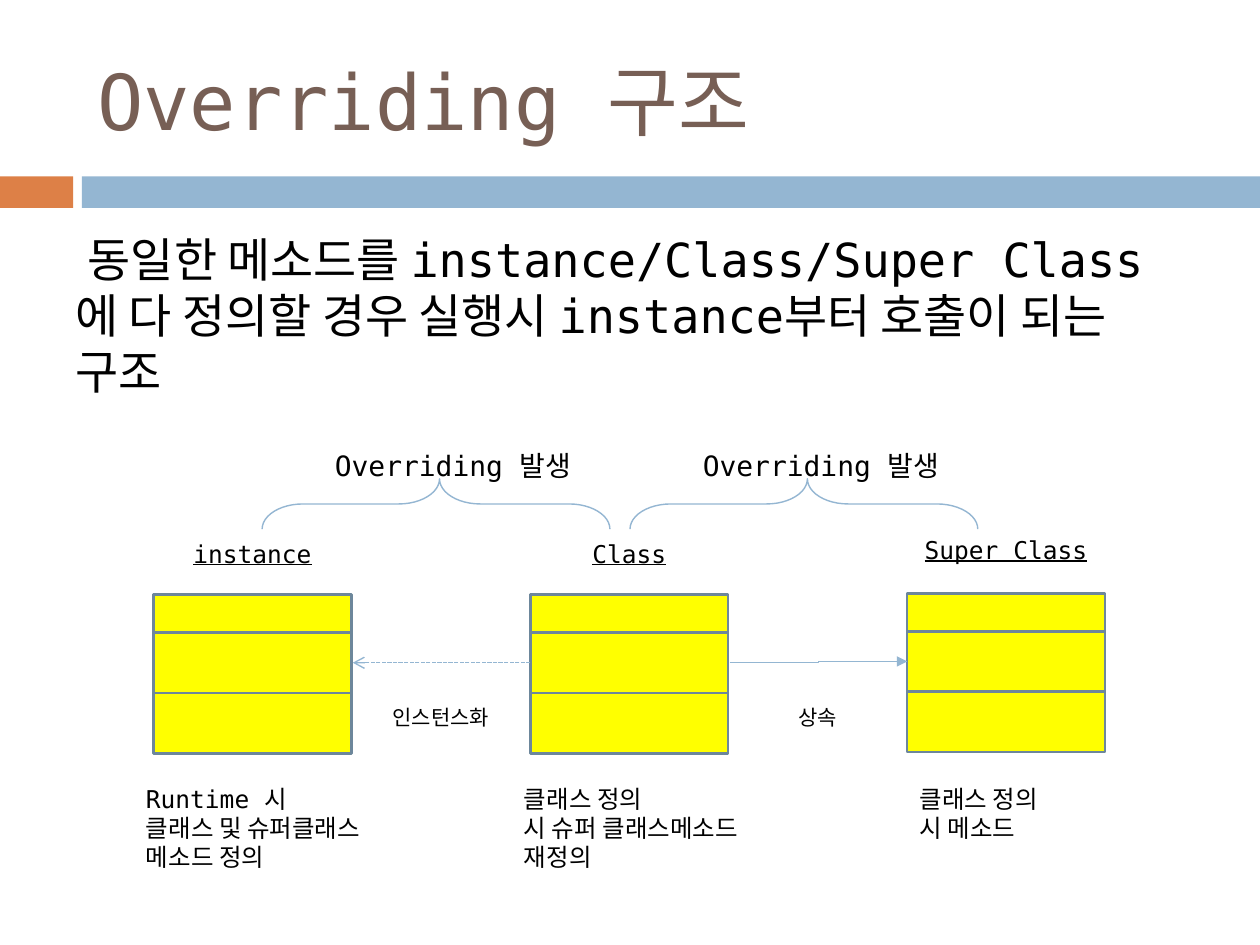
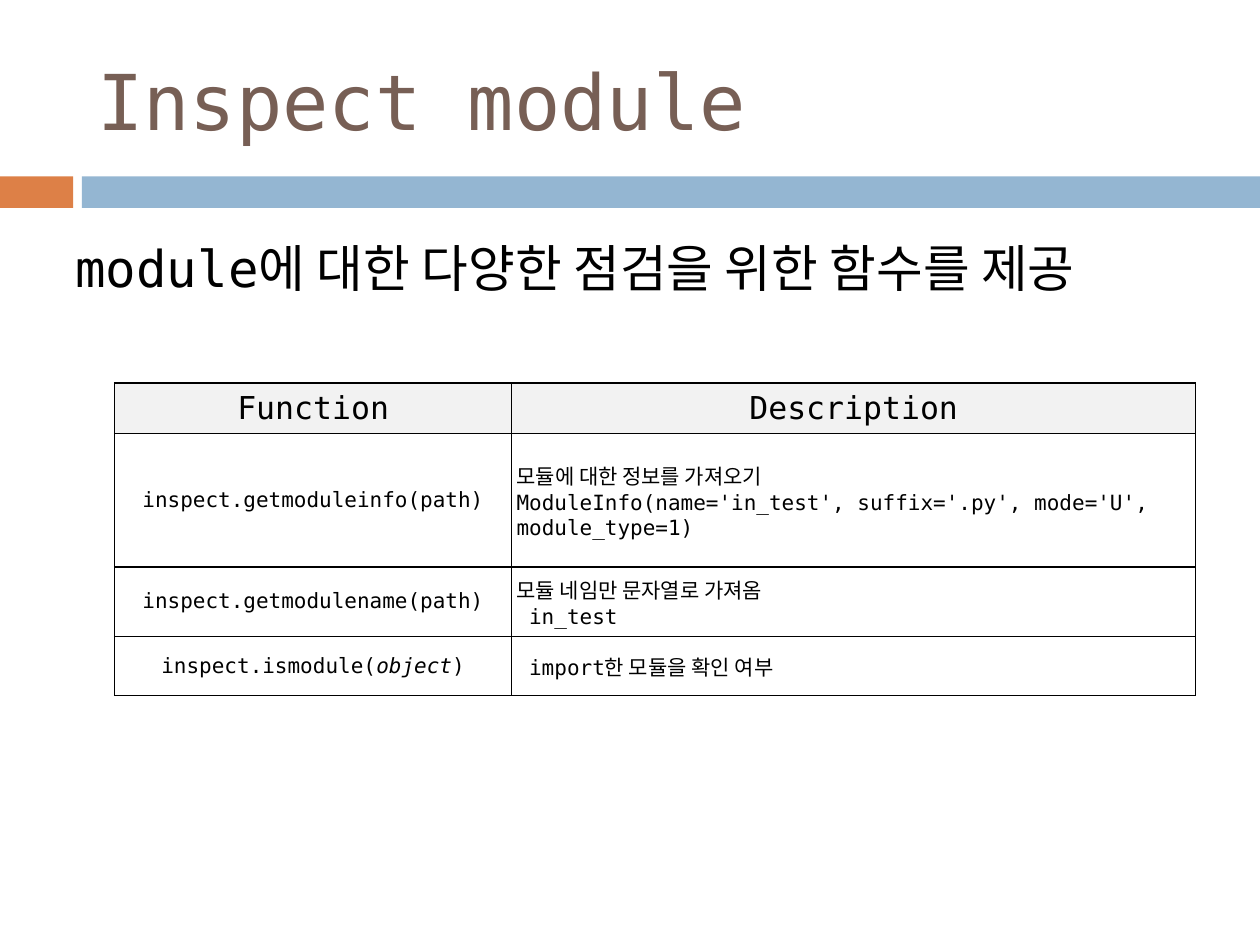
"""Build two slides on method overriding and the inspect module."""
from lxml.etree import SubElement
from pptx import Presentation
from pptx.dml.color import RGBColor
from pptx.enum.dml import MSO_LINE as Dash
from pptx.enum.shapes import MSO_CONNECTOR as Conn, MSO_SHAPE as Geo
from pptx.enum.text import MSO_ANCHOR as Anchor, MSO_AUTO_SIZE as Auto, PP_ALIGN as Align
from pptx.oxml.ns import qn
from pptx.util import Inches, Pt

FONT = "DejaVu Sans Mono"
INK, BROWN, BLUE, RUST = "000000", "775F55", "94B6D2", "DD8047"
YELLOW, EDGE, GRAY = "FFFF00", "6D879B", "F2F2F2"
WIDE, HIGH = 10, 7.5

TITLES = ["Overriding 구조", "Inspect module"]
LEADS = [
    (" 동일한 메소드를 instance/Class/Super Class에 다 정의할 경우 실행시 instance부터 호출이 되는 구조",
     26.8, 1.78, 1.3),
    ("module에 대한 다양한 점검을 위한 함수를 제공", 29, 1.83, 1.06),
]
STACKS = [
    {"name": "instance", "note": ["Runtime 시", "클래스 및 슈퍼클래스 메소드 정의"],
     "shift": -0.16, "rise": 0, "lift": 0},
    {"name": "Class", "note": ["클래스 정의", "시 슈퍼 클래스메소드 재정의"],
     "shift": -0.15, "rise": 0, "lift": 0},
    {"name": "Super Class", "note": ["클래스 정의", "시 메소드"],
     "shift": 0, "rise": 0.01, "lift": 0.03},
]
LINKS = [
    {"text": "인스턴스화", "left": 2.95, "wide": 1.1, "ends": (4.21, 5.26, 2.8, 5.26),
     "kind": Conn.STRAIGHT, "head": "arrow", "dash": Dash.SQUARE_DOT},
    {"text": "상속", "left": 6.02, "wide": 0.94, "ends": (5.79, 5.26, 7.2, 5.25),
     "kind": Conn.ELBOW, "head": "triangle", "dash": None},
]
CLASH = "Overriding 발생"
GRID = [
    (["Function"], ["Description"]),
    (["inspect.getmoduleinfo(path)"],
     ["모듈에 대한 정보를 가져오기",
      "ModuleInfo(name='in_test', suffix='.py', mode='U', module_type=1)"]),
    (["inspect.getmodulename(path)"], ["모듈 네임만 문자열로 가져옴", " in_test"]),
    (["inspect.ismodule(*object*)"], [" import한 모듈을 확인 여부"]),
]
COLS, ROWS = [3.15, 5.43], [0.4, 1.06, 0.55, 0.47]

LEFT, STEP, BOX = 1.22, 2.99, 1.57
TOP, PARTS = 4.72, [0.3, 0.48, 0.48]
ARC, HOP, SPAN, DEPTH = 2.08, 2.92, 2.76, 0.4


def rgb(code):
    """Turn a hex string into a colour."""
    return RGBColor.from_string(code)


def put(item, **vals):
    """Set each given attribute on an item."""
    for key, val in vals.items():
        setattr(item, key, val)


def write(frame, paras, size, tint=INK, align=Align.LEFT, space=0, line=False):
    """Fill a frame; a leading space indents, stars mark italics."""
    for i, text in enumerate(paras):
        para = frame.paragraphs[0] if i == 0 else frame.add_paragraph()
        put(para, alignment=align, space_before=Pt(space))
        if text.startswith(" "):
            para._p.get_or_add_pPr().set("indent", str(Inches(0.1)))
        for j, part in enumerate(text.strip().split("*")):
            run = para.add_run()
            run.text = part
            put(run.font, name=FONT, size=Pt(size), bold=False,
                italic=j % 2 == 1, underline=line)
            run.font.color.rgb = rgb(tint)


def label(slide, spot, paras, size, **style):
    """Add a wrapping text box."""
    frame = slide.shapes.add_textbox(*map(Inches, spot)).text_frame
    frame.word_wrap = True
    write(frame, paras, size, **style)


def block(slide, spot, fill=None, edge=None, thick=1.5, geo=Geo.RECTANGLE):
    """Add a plain shape."""
    shape = slide.shapes.add_shape(geo, *map(Inches, spot))
    shape.shadow.inherit = False
    if fill:
        shape.fill.solid()
        shape.fill.fore_color.rgb = rgb(fill)
    else:
        shape.fill.background()
    if edge:
        shape.line.color.rgb = rgb(edge)
        shape.line.width = Pt(thick)
    else:
        shape.line.fill.background()
    return shape


def start(deck, title, lead):
    """Add a slide with its title, bands and lead text."""
    slide = deck.slides.add_slide(deck.slide_layouts[5])
    block(slide, (0, 1.4, 0.58, 0.25), RUST)
    block(slide, (0.65, 1.4, WIDE - 0.65, 0.25), BLUE)
    head = slide.shapes.title
    put(head, left=Inches(0.67), top=Inches(0.25), width=Inches(8.92), height=Inches(1.08))
    put(head.text_frame, vertical_anchor=Anchor.MIDDLE, word_wrap=True, auto_size=Auto.NONE)
    write(head.text_frame, [title], 44, BROWN)
    text, size, top, high = lead
    label(slide, (0.5, top, WIDE - 1, high), [text], size, space=7)
    return slide


def link(slide, data):
    """Add an arrow and its caption."""
    line = slide.shapes.add_connector(data["kind"], *map(Inches, data["ends"]))
    line.line.color.rgb = rgb(BLUE)
    put(line.line, width=Pt(0.79), dash_style=data["dash"])
    SubElement(line.line._get_or_add_ln(), qn("a:tailEnd")).set("type", data["head"])
    SubElement(line._element.spPr, qn("a:effectLst"))
    label(slide, (data["left"], 5.54, data["wide"], 0.3), [data["text"]], 12, align=Align.CENTER)


def chain(slide):
    """Draw the class stacks, their links and the braces."""
    for i, data in enumerate(STACKS):
        x = LEFT + i * STEP
        for j, high in enumerate(PARTS):
            y = TOP - data["rise"] + sum(PARTS[:j])
            block(slide, (x, y, BOX, high), YELLOW, EDGE)
        label(slide, (x, 4.23 - data["lift"], BOX, 0.34), [data["name"]], 14,
              align=Align.CENTER, line=True)
        label(slide, (x + data["shift"], 6.17, 2.05, 0.81), data["note"], 14)
    for data in LINKS:
        link(slide, data)
    for i in range(len(STACKS) - 1):
        x = ARC + i * HOP
        spot = (x + (SPAN - DEPTH) / 2, 4 - SPAN / 2, DEPTH, SPAN)
        brace = block(slide, spot, edge=BLUE, thick=0.79, geo=Geo.LEFT_BRACE)
        brace.rotation = 90
        brace.adjustments[0], brace.adjustments[1] = 0.81, 0.49
        label(slide, (x + 0.48, 3.51, 2.2, 0.37), [CLASH], 16)


def rule(cell):
    """Give a cell thin black borders."""
    props = cell._tc.get_or_add_tcPr()
    for side in "LRTB":
        edge = SubElement(props, qn("a:ln" + side), w=str(Pt(1)))
        fill = SubElement(edge, qn("a:solidFill"))
        SubElement(fill, qn("a:srgbClr"), val=INK)


def chart(slide):
    """Add the table of functions."""
    spot = (0.91, 3.04, sum(COLS), sum(ROWS))
    table = slide.shapes.add_table(len(ROWS), len(COLS), *map(Inches, spot)).table
    put(table, first_row=False, horz_banding=False)
    for col, wide in zip(table.columns, COLS):
        col.width = Inches(wide)
    for i, (row, high) in enumerate(zip(table.rows, ROWS)):
        row.height = Inches(high)
        for j, cell in enumerate(row.cells):
            put(cell, vertical_anchor=Anchor.MIDDLE,
                margin_left=Inches(0.04), margin_right=Inches(0.04),
                margin_top=Inches(0.02), margin_bottom=Inches(0.02))
            rule(cell)
            if i == 0:
                cell.fill.solid()
                cell.fill.fore_color.rgb = rgb(GRAY)
            else:
                cell.fill.background()
            write(cell.text_frame, GRID[i][j], 12 if i else 18,
                  align=Align.LEFT if i and j else Align.CENTER)


def main():
    """Build and save the deck."""
    deck = Presentation()
    put(deck, slide_width=Inches(WIDE), slide_height=Inches(HIGH))
    for title, lead, draw in zip(TITLES, LEADS, (chain, chart)):
        draw(start(deck, title, lead))
    deck.save("out.pptx")


if __name__ == "__main__":
    main()
